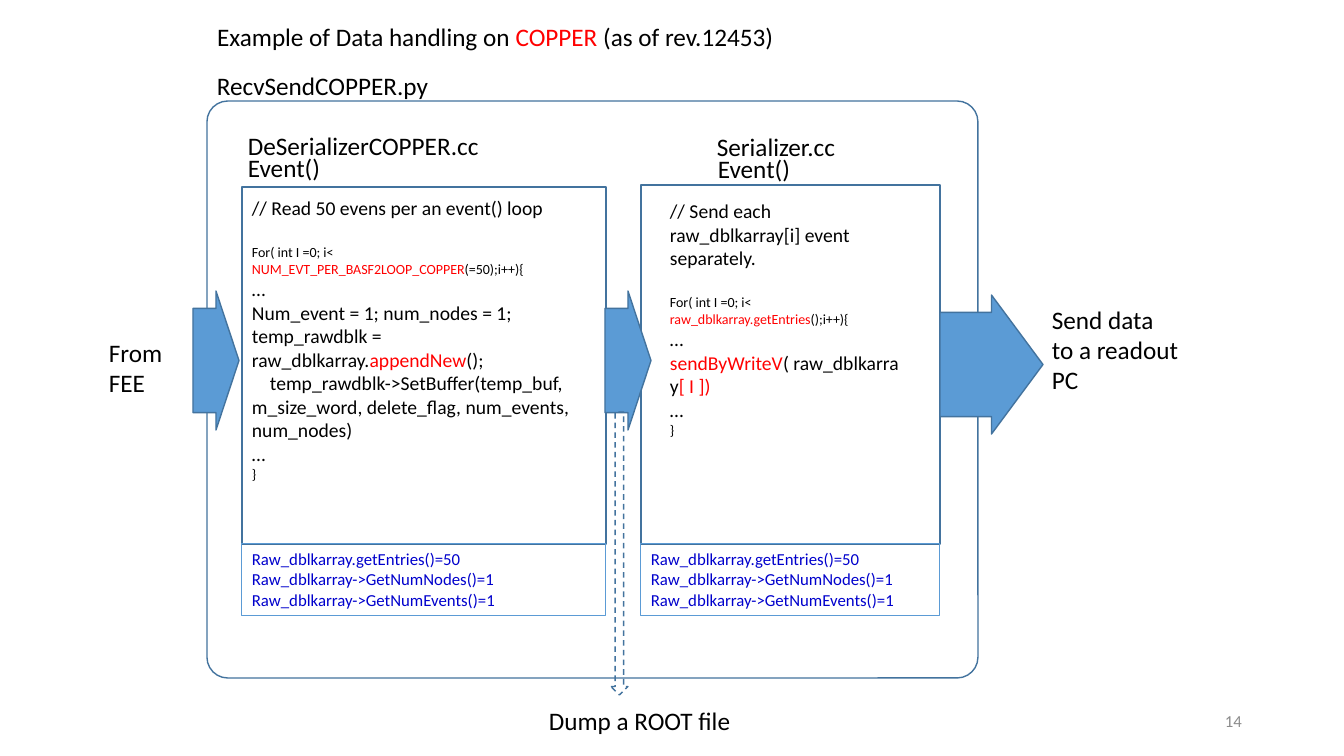
from pptx import Presentation
from pptx import util as u
from pptx.dml.color import RGBColor
from pptx.enum import dml, shapes, text

# Content: words between asterisks are highlighted
TITLE = ("Example of Data handling on *COPPER* (as of rev.12453)", (207, 16, 583, 40))
LABELS = [
    (["RecvSendCOPPER.py"], (207, 65, 234, 40)),
    (["DeSerializerCOPPER.cc"], (238, 125, 253, 40)),
    (["Event()"], (238, 147, 94, 40)),
    (["Serializer.cc"], (707, 126, 140, 40)),
    (["Event()"], (708, 148, 94, 40)),
    (["Dump a ROOT file"], (539, 700, 204, 40)),
    (["Send data", "to a readout", "PC"], (1042, 299, 148, 102)),
    (["From", "FEE"], (99, 332, 75, 72)),
]
# Code lines: text, point size, space before in points, first-line indent in px
READ_CODE = [
    ("// Read 50 evens per an event() loop", 14, 0, 0),
    ("For( int I =0; i< *NUM_EVT_PER_BASF2LOOP_COPPER*(=50);i++){", 10, 17, 0),
    ("…", 14, 0, 0),
    ("Num_event = 1; num_nodes = 1;", 14, 0, 0),
    ("temp_rawdblk = raw_dblkarray.*appendNew*();", 14, 0, 0),
    ("temp_rawdblk->SetBuffer(temp_buf, m_size_word, delete_flag, num_events, num_nodes)", 14, 0, 18),
    ("…", 14, 0, 0),
    ("}", 10, 0, 0),
]
SEND_CODE = [
    ("// Send each raw_dblkarray[i] event", 14, 0, 0),
    ("separately.", 14, 0, 0),
    ("For( int I =0; i< *raw_dblkarray.getEntries*();i++){", 10, 17, 0),
    ("…", 14, 0, 0),
    ("*sendByWriteV*( raw_dblkarray*[ I ])*", 14, 0, 0),
    ("…", 14, 0, 0),
    ("}", 10, 0, 0),
]
RESULTS = ["Raw_dblkarray.getEntries()=50", "Raw_dblkarray->GetNumNodes()=1",
           "Raw_dblkarray->GetNumEvents()=1"]
PROCESS = (207, 101, 771, 577)
# Modules: left, top, width, code, code box
MODULES = [
    (242, 187, 364, READ_CODE, (242, 191, 348, 305)),
    (641, 185, 299, SEND_CODE, (660, 194, 256, 275)),
]
RESULT_TOP, RESULT_HEIGHT = 544, 72
FLOW_ARROWS = [(193, 291, 46, 139), (605, 291, 46, 139), (940, 295, 103, 139)]
DUMP_ARROW = (611, 412, 17, 283)
PAGE_NUMBER = ("14", (950, 701, 302, 40))
COLORS = {"black": "000000", "red": "FF0000", "blue": "0000CC", "gray": "8C8C8C",
          "fill": "5B9BD5", "outline": "43739E"}
PX = 914400 / 100.8


def px(length):
    return u.Emu(round(length * PX))


def color(name):
    return RGBColor.from_string(COLORS[name])


def write(shape, lines, base="black", wrap=False):
    frame = shape.text_frame
    frame.auto_size = text.MSO_AUTO_SIZE.NONE
    frame.word_wrap = wrap
    frame.vertical_anchor = text.MSO_ANCHOR.TOP
    for index, (words, size, space, indent) in enumerate(lines):
        paragraph = frame.add_paragraph() if index else frame.paragraphs[0]
        paragraph.alignment = text.PP_ALIGN.LEFT
        paragraph.space_before = u.Pt(space)
        paragraph.font.size = u.Pt(size)
        paragraph.font.name = "Calibri"
        paragraph.font.color.rgb = color(base)
        if indent:
            paragraph._p.get_or_add_pPr().set("indent", str(px(indent)))
        for part, piece in enumerate(words.split("*")):
            if piece:
                run = paragraph.add_run()
                run.text = piece
                if part % 2:
                    run.font.color.rgb = color("red")


def plain(lines, size):
    return [(line, size, 0, 0) for line in lines]


def add_text(slide, box, lines, base="black", wrap=False):
    shape = slide.shapes.add_textbox(*map(px, box))
    write(shape, lines, base, wrap)
    return shape


def add_outline(slide, kind, box, line="outline", width=1, fill=None):
    shape = slide.shapes.add_shape(kind, *map(px, box))
    shape.shadow.inherit = False
    if fill:
        shape.fill.solid()
        shape.fill.fore_color.rgb = color(fill)
    else:
        shape.fill.background()
    shape.line.color.rgb = color(line)
    shape.line.width = u.Pt(width)
    return shape


def main():
    kinds = shapes.MSO_SHAPE
    presentation = Presentation()
    presentation.slide_width, presentation.slide_height = px(1344), px(756)
    slide = presentation.slides.add_slide(presentation.slide_layouts[5])

    # Title
    title = slide.shapes.title
    words, box = TITLE
    title.left, title.top, title.width, title.height = map(px, box)
    write(title, plain([words], 18))

    # Process frame and its two modules
    frame = add_outline(slide, kinds.ROUNDED_RECTANGLE, PROCESS)
    frame.adjustments[0] = 0.036
    for left, top, width, code, code_box in MODULES:
        add_outline(slide, kinds.RECTANGLE, (left, top, width, RESULT_TOP - top))
        add_text(slide, code_box, code, wrap=True)
        result = add_outline(slide, kinds.RECTANGLE, (left, RESULT_TOP, width, RESULT_HEIGHT),
                             "fill", 0.75)
        write(result, plain(RESULTS, 12), "blue", wrap=True)

    # Arrows
    for box in FLOW_ARROWS:
        arrow = add_outline(slide, kinds.RIGHT_ARROW, box, fill="fill")
        arrow.adjustments[0] = 0.75
    dump = add_outline(slide, kinds.DOWN_ARROW, DUMP_ARROW)
    dump.line.dash_style = dml.MSO_LINE.DASH

    # Labels and page number
    for lines, box in LABELS:
        add_text(slide, box, plain(lines, 18))
    number, box = PAGE_NUMBER
    page = add_text(slide, box, plain([number], 12), "gray", wrap=True)
    page.text_frame.vertical_anchor = text.MSO_ANCHOR.MIDDLE
    page.text_frame.paragraphs[0].alignment = text.PP_ALIGN.RIGHT

    presentation.save("out.pptx")


if __name__ == "__main__":
    main()
